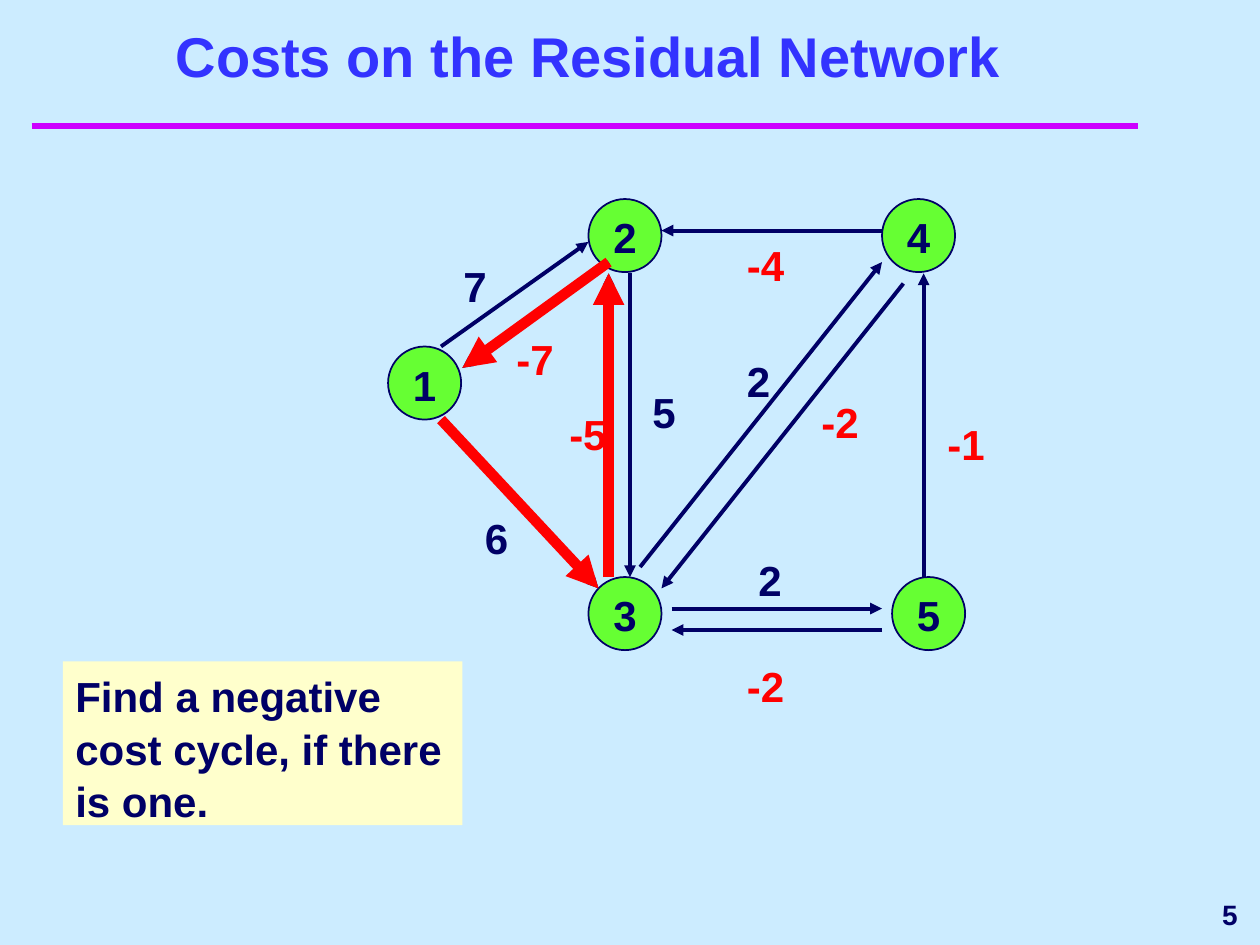
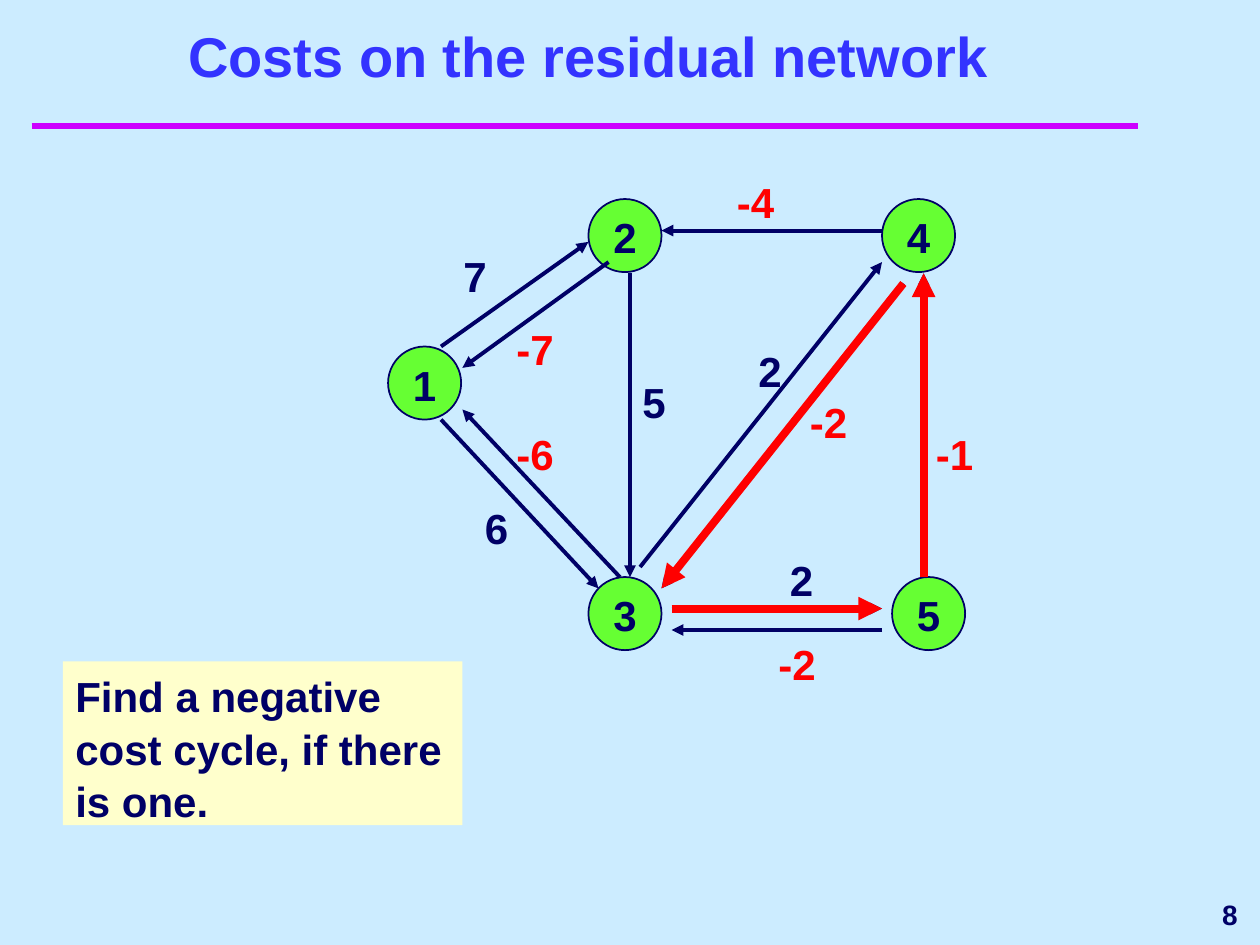
import pptx
import pptx.util
import pptx.dml.color
import pptx.enum.shapes
import pptx.enum.text
import pptx.oxml.ns
import lxml.etree

Inches = pptx.util.Inches
Align = pptx.enum.text.PP_ALIGN
Anchor = pptx.enum.text.MSO_ANCHOR
Shape = pptx.enum.shapes.MSO_SHAPE

NAVY, RED, BLUE, PURPLE = "000066", "FF0000", "3333FF", "CC00FF"
GREEN, CREAM, SKY = "66FF33", "FFFFCC", "CCECFF"
NODE_SIZE = 0.58
NODES = {1: (3.08, 2.75), 2: (4.67, 1.58), 4: (7, 1.58), 3: (4.67, 4.58), 5: (7.08, 4.58)}
ARCS = {
    (3, 5): (5.33, 4.83, 7, 4.83),
    (4, 2): (7, 1.83, 5.25, 1.83),
    (1, 2): (3.5, 2.75, 4.67, 1.92),
    (1, 3): (3.5, 3.33, 4.75, 4.67),
    (5, 4): (7.33, 4.58, 7.33, 2.17),
    (2, 3): (5, 2.17, 5, 4.58),
    (3, 4): (5.08, 4.5, 7, 2.08),
    (2, 1): (4.83, 2.08, 3.67, 2.92),
    (4, 3): (7.17, 2.25, 5.25, 4.67),
    (5, 3): (7, 5, 5.33, 5),
    (3, 2): (4.83, 4.58, 4.83, 2.17),
    (3, 1): (4.92, 4.58, 3.67, 3.25),
}
SHARED_ARCS = list(ARCS)[:10]

NETWORKS = [
    {
        "title": "Costs on the Residual Network",
        "number": 5,
        "arcs": SHARED_ARCS + [(3, 2)],
        "cycle": [(1, 3), (2, 1), (3, 2)],
        "cycle_width": 6,
        "costs": [
            (2, 5.83, 2.75, 0.58), (2, 5.92, 4.33, 0.58), (6, 3.75, 4, 1.17),
            (7, 3.58, 2, 1.17), (-7, 4, 2.58, 1.17), (-5, 4.42, 3.17, 0.67),
            (-2, 6.42, 3.08, 0.58), (-2, 5.83, 5.17, 0.58), (-1, 7.42, 3.25, 0.58),
            (-4, 5.83, 1.83, 0.67), (5, 5.08, 3, 0.67),
        ],
    },
    {
        "title": "Costs on the residual network",
        "number": 8,
        "arcs": SHARED_ARCS + [(3, 1)],
        "cycle": [(3, 5), (5, 4), (4, 3)],
        "cycle_width": 4.5,
        "costs": [
            (2, 5.92, 2.67, 0.58), (2, 6.17, 4.33, 0.58), (6, 3.75, 3.92, 1.17),
            (7, 3.58, 1.92, 1.17), (-7, 4, 2.5, 1.17), (-2, 6.33, 3.08, 0.58),
            (-2, 6.08, 5, 0.58), (-1, 7.33, 3.33, 0.58), (-4, 5.75, 1.33, 0.67),
            (-6, 4, 3.33, 1.17), (5, 5, 2.92, 0.67),
        ],
    },
]


def rgb(value):
    """Return the colour for a hex string."""
    return pptx.dml.color.RGBColor.from_string(value)


def write(shape, text, size=24, color=NAVY, align=Align.LEFT, anchor=Anchor.TOP, wrap=True, spacing=1.05):
    """Put formatted text into a shape."""
    frame = shape.text_frame
    frame.word_wrap = wrap
    frame.vertical_anchor = anchor
    paragraph = frame.paragraphs[0]
    paragraph.alignment = align
    paragraph.line_spacing = spacing
    run = paragraph.add_run()
    run.text = text
    run.font.name = "Arial"
    run.font.size = pptx.util.Pt(size)
    run.font.bold = True
    run.font.color.rgb = rgb(color)


class NetworkDeck:
    """Presentation of network slides in one style."""

    def __init__(self):
        """Start a presentation."""
        self.presentation = pptx.Presentation()
        self.presentation.slide_width = Inches(10)
        self.presentation.slide_height = Inches(7.5)
        self.slide = None

    def start_slide(self, title, number):
        """Add a slide with its title, rule and number."""
        self.slide = self.presentation.slides.add_slide(self.presentation.slide_layouts[6])
        fill = self.slide.background.fill
        fill.solid()
        fill.fore_color.rgb = rgb(SKY)
        self.line(0.25, 1, 9.03, 1, PURPLE, 4)
        self.text(str(number), 8, 7, 1.92, 0.5, size=16, align=Align.RIGHT, anchor=Anchor.MIDDLE, wrap=False)
        self.text(title, 0.42, 0.33, 8.5, 0.42, size=32, color=BLUE, align=Align.CENTER,
                  anchor=Anchor.BOTTOM, spacing=1)

    def text(self, text, left, top, width, height, **style):
        """Add a text box."""
        box = self.slide.shapes.add_textbox(Inches(left), Inches(top), Inches(width), Inches(height))
        write(box, text, **style)

    def shape(self, kind, text, left, top, width, height, fill, outline=None, **style):
        """Add a filled shape with text."""
        shape = self.slide.shapes.add_shape(kind, Inches(left), Inches(top), Inches(width), Inches(height))
        shape.shadow.inherit = False
        shape.fill.solid()
        shape.fill.fore_color.rgb = rgb(fill)
        if outline:
            shape.line.color.rgb = rgb(outline)
            shape.line.width = pptx.util.Pt(1)
        else:
            shape.line.fill.background()
        write(shape, text, **style)

    def line(self, x1, y1, x2, y2, color, width, arrow=False):
        """Add a straight line, with an arrowhead at its end if asked."""
        connector = self.slide.shapes.add_connector(
            pptx.enum.shapes.MSO_CONNECTOR.STRAIGHT, Inches(x1), Inches(y1), Inches(x2), Inches(y2))
        connector.line.color.rgb = rgb(color)
        connector.line.width = pptx.util.Pt(width)
        qualified = pptx.oxml.ns.qn
        if arrow:
            lxml.etree.SubElement(connector.line._get_or_add_ln(), qualified("a:tailEnd"), type="triangle")
        properties = connector._element.find(qualified("p:spPr"))
        lxml.etree.SubElement(properties, qualified("a:effectLst"))

    def node(self, number):
        """Add a numbered node."""
        self.shape(Shape.OVAL, str(number), *NODES[number], NODE_SIZE, NODE_SIZE, GREEN, NAVY,
                   align=Align.CENTER, anchor=Anchor.MIDDLE, wrap=False)

    def arc(self, ends, color=NAVY, width=2.25):
        """Add an arrow between two nodes."""
        self.line(*ARCS[ends], color, width, arrow=True)

    def cost(self, value, left, top, width):
        """Add an arc cost, in red when negative."""
        self.text(str(value), left, top, width, 0.5, color=RED if value < 0 else NAVY)

    def network(self, title, number, arcs, cycle, cycle_width, costs):
        """Add a slide with a network and its negative cycle."""
        self.start_slide(title, number)
        for node in NODES:
            self.node(node)
        for ends in arcs:
            self.arc(ends)
        for cost in costs:
            self.cost(*cost)
        self.shape(Shape.RECTANGLE, "Find a negative cost cycle, if there is one.",
                   0.5, 5.25, 3.17, 1.3, CREAM)
        for ends in cycle:
            self.arc(ends, RED, cycle_width)


def main():
    """Build and save the slides."""
    deck = NetworkDeck()
    for network in NETWORKS:
        deck.network(**network)
    deck.presentation.save("out.pptx")


if __name__ == "__main__":
    main()
